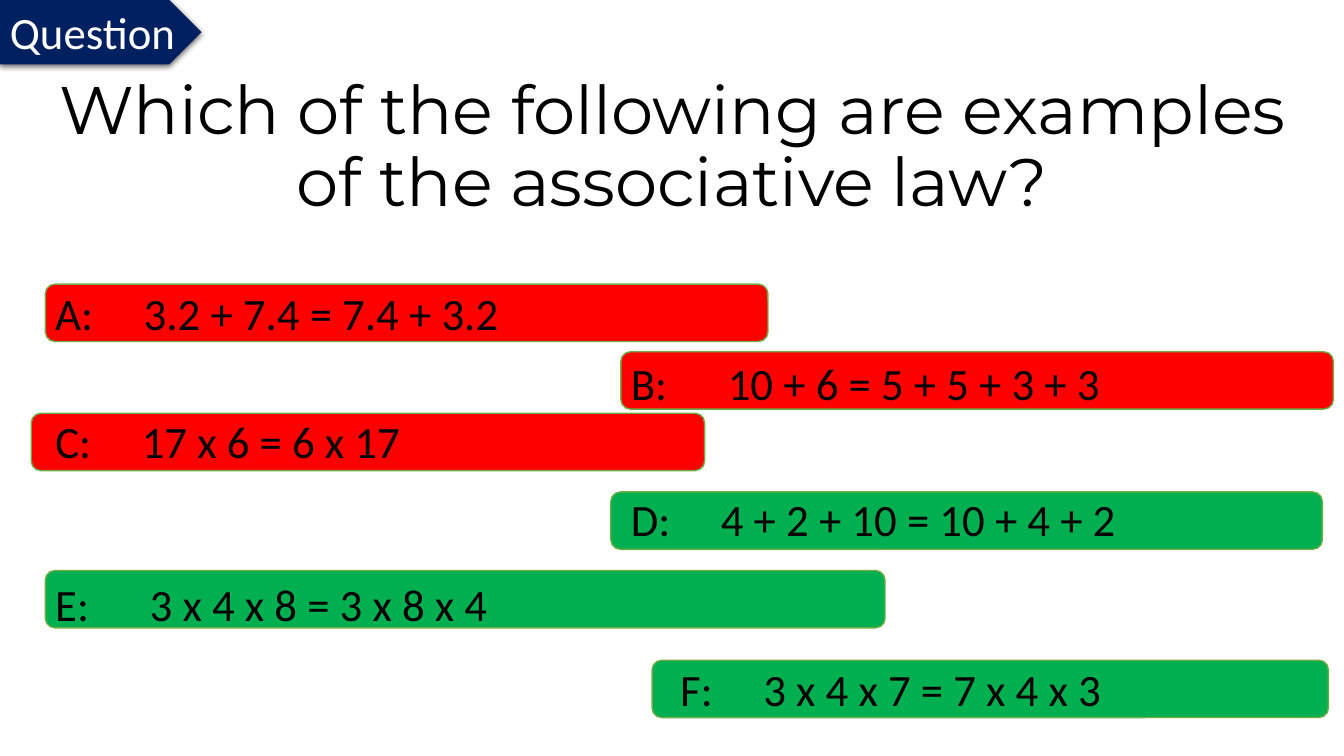
from lxml import etree
from pptx import Presentation
from pptx.dml.color import RGBColor
from pptx.enum import shapes, text
from pptx.oxml import ns
from pptx.util import Pt

TITLE = "Which of the following are examples of the associative law?"
TAG = "Question"
RED, GREEN, NAVY = "FF0000", "00B050", "002060"
BLACK, WHITE, OUTLINE = "000000", "FFFFFF", "70AD47"

# letter, equation, bar fill, bar (left, top, width), label (left, top), equation indent
ANSWERS = [
    ("A:", "3.2 + 7.4 = 7.4 + 3.2", RED, (32.4, 203, 516.2), (32.4, 200.2), 63.2),
    ("B:", "10 + 6 = 5 + 5 + 3 + 3", RED, (443.5, 251.3, 509), (443.5, 250.6), 69.3),
    ("C:", "17 x 6 = 6 x 17", RED, (22.3, 295.2, 481), (32.4, 292.3), 61.8),
    ("D:", "4 + 2 + 10 = 10 + 4 + 2", GREEN, (436.3, 351.4, 508.3), (443.5, 347.8), 64.4),
    ("E:", "3 x 4 x 8 = 3 x 8 x 4", GREEN, (32.4, 407.5, 599.8), (32.4, 408.2), 67.5),
    ("F:", "3 x 4 x 7 = 7 x 4 x 3", GREEN, (465.8, 471.6, 483.1), (478.8, 469.4), 59.4),
]
BAR_HEIGHT = 41
LABEL_HEIGHT = 46

deck = Presentation()
deck.slide_width, deck.slide_height = Pt(960), Pt(540)
slide = deck.slides.add_slide(deck.slide_layouts[6])


def color(value):
    return RGBColor.from_string(value)


def add_child(parent, tag, **attributes):
    return etree.SubElement(parent, ns.qn(tag), attributes)


def write(holder, words, size=32, font="Calibri", ink=BLACK, align="LEFT",
          anchor="TOP", wrap=True, spacing=None, tab=None):
    frame = holder.text_frame
    frame.word_wrap = wrap
    frame.vertical_anchor = getattr(text.MSO_ANCHOR, anchor)
    line = frame.paragraphs[0]
    line.alignment = getattr(text.PP_ALIGN, align)
    if spacing:
        line.line_spacing = spacing
    if tab:
        stops = add_child(line._p.get_or_add_pPr(), "a:tabLst")
        add_child(stops, "a:tab", pos=str(Pt(tab)), algn="l")
    run = line.add_run()
    run.text = words
    run.font.size, run.font.name = Pt(size), font
    run.font.color.rgb = color(ink)


def add_box(left, top, width, height):
    return slide.shapes.add_textbox(Pt(left), Pt(top), Pt(width), Pt(height))


def add_block(kind, left, top, width, height, fill, outline=None):
    block = slide.shapes.add_shape(kind, Pt(left), Pt(top), Pt(width), Pt(height))
    block.shadow.inherit = False
    block.fill.solid()
    block.fill.fore_color.rgb = color(fill)
    if outline:
        block.line.color.rgb = color(outline)
        block.line.width = Pt(1)
    else:
        block.line.fill.background()
    return block


def cast_shadow(block):
    effects = block._element.spPr.find(ns.qn("a:effectLst"))
    shadow = add_child(effects, "a:outerShdw", blurRad=str(Pt(4.5)),
                       dist=str(Pt(1.5)), dir="5400000", algn="ctr", rotWithShape="0")
    tint = add_child(shadow, "a:srgbClr", val=BLACK)
    add_child(tint, "a:alpha", val="63000")


write(add_box(5.8, 54, 949, 104.4), TITLE, size=48, font="Montserrat",
      align="CENTER", anchor="MIDDLE", spacing=0.9)

tag = add_block(shapes.MSO_SHAPE.PENTAGON, 0, 0, 144, LABEL_HEIGHT, NAVY)
cast_shadow(tag)
write(tag, TAG, ink=WHITE, wrap=False)

for letter, equation, fill, (left, top, width), label_at, indent in ANSWERS:
    add_block(shapes.MSO_SHAPE.ROUNDED_RECTANGLE, left, top, width, BAR_HEIGHT,
              fill, OUTLINE)
    write(add_box(*label_at, width, LABEL_HEIGHT), f"{letter}\t{equation}", tab=indent)

deck.save("out.pptx")
